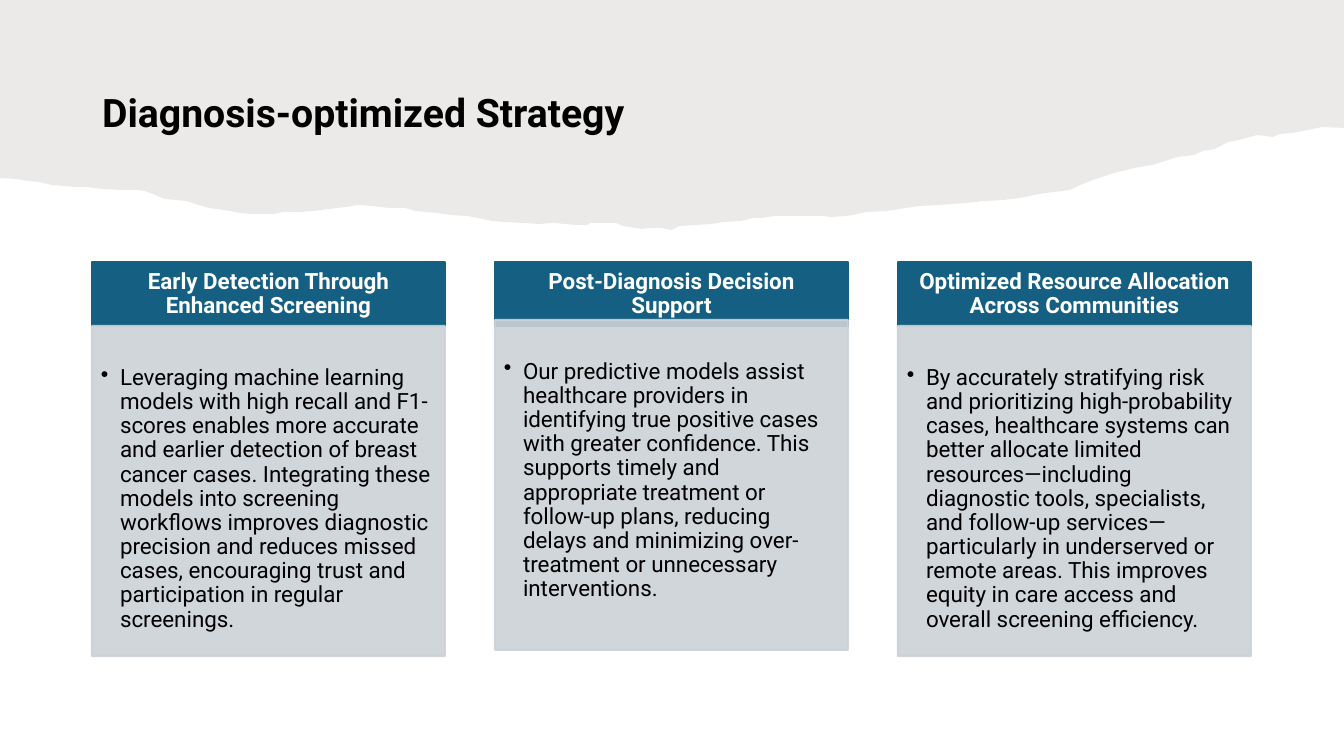
import pptx
import pptx.dml.color
import pptx.enum.shapes
import pptx.enum.text
import pptx.oxml.ns
import pptx.util
from lxml import etree

RGB = pptx.dml.color.RGBColor
BLACK = RGB(0x00, 0x00, 0x00)
WHITE = RGB(0xFF, 0xFF, 0xFF)
TAUPE = RGB(0x82, 0x76, 0x6A)
TEAL = RGB(0x15, 0x60, 0x82)
GREY = RGB(0xCC, 0xD2, 0xD8)
PP_ALIGN = pptx.enum.text.PP_ALIGN
ANCHOR = pptx.enum.text.MSO_ANCHOR
RECTANGLE = pptx.enum.shapes.MSO_SHAPE.RECTANGLE
qn = pptx.oxml.ns.qn
PX = 914400 / 100.8

TORN_EDGE = [
    (0, 178), (16, 179), (28, 181), (39, 182), (52, 185), (75, 187), (87, 187),
    (102, 189), (121, 190), (137, 190), (145, 191), (153, 194), (165, 199),
    (186, 201), (195, 204), (209, 208), (224, 210), (230, 211), (240, 213),
    (250, 214), (274, 214), (283, 212), (300, 212), (313, 211), (346, 207),
    (358, 205), (372, 206), (389, 208), (405, 208), (415, 211), (437, 213),
    (450, 215), (467, 216), (478, 218), (492, 221), (504, 222), (524, 223),
    (539, 224), (554, 223), (576, 225), (588, 225), (590, 223), (616, 223),
    (623, 226), (641, 229), (651, 228), (661, 228), (672, 230), (679, 226),
    (696, 225), (712, 224), (724, 222), (741, 221), (753, 218), (761, 218),
    (775, 216), (822, 216), (832, 217), (847, 216), (867, 212), (887, 211),
    (906, 208), (920, 206), (939, 205), (966, 203), (985, 201), (1003, 200),
    (1020, 198), (1039, 194), (1054, 192), (1070, 190), (1078, 186),
    (1093, 180), (1114, 173), (1139, 167), (1152, 165), (1159, 163),
    (1171, 159), (1178, 157), (1194, 155), (1203, 151), (1215, 149),
    (1228, 142), (1239, 140), (1257, 135), (1273, 137), (1280, 134),
    (1292, 133), (1308, 130), (1322, 127), (1344, 128),
]

# Heading, top of the body panel, body text
STRATEGIES = [
    ("Early Detection Through Enhanced Screening", 326,
     "Leveraging machine learning models with high recall and F1-scores enables "
     "more accurate and earlier detection of breast cancer cases. Integrating "
     "these models into screening workflows improves diagnostic precision and "
     "reduces missed cases, encouraging trust and participation in regular "
     "screenings."),
    ("Post-Diagnosis Decision Support", 320,
     "Our predictive models assist healthcare providers in identifying true "
     "positive cases with greater confidence. This supports timely and "
     "appropriate treatment or follow-up plans, reducing delays and minimizing "
     "over-treatment or unnecessary interventions."),
    ("Optimized Resource Allocation Across Communities", 326,
     "By accurately stratifying risk and prioritizing high-probability cases, "
     "healthcare systems can better allocate limited resources—including "
     "diagnostic tools, specialists, and follow-up services—particularly in "
     "underserved or remote areas. This improves equity in care access and "
     "overall screening efficiency."),
]


def px(n):
    return pptx.util.Emu(round(n * PX))


def set_opacity(shape, percent):
    """Make the fill and line colours of a shape partly transparent."""
    for color in shape._element.spPr.iter(qn("a:srgbClr")):
        etree.SubElement(color, qn("a:alpha"), val=str(percent * 1000))


prs = pptx.Presentation()
prs.slide_width, prs.slide_height = px(1344), px(756)
s = prs.slides.add_slide(prs.slide_layouts[5])

# Torn paper band, placed behind the title
builder = s.shapes.build_freeform(0, 0, scale=PX)
builder.add_line_segments(TORN_EDGE + [(1344, 0)], close=True)
band = builder.convert_to_shape()
band.shadow.inherit = False
band.fill.solid()
band.fill.fore_color.rgb = TAUPE
band.line.fill.background()
set_opacity(band, 15)
s.shapes._spTree.insert(2, band._element)

title = s.shapes.title
title.left, title.top, title.width, title.height = px(92), px(51), px(1161), px(90)
tf = title.text_frame
tf.text = "Diagnosis-optimized Strategy"
tf.vertical_anchor = ANCHOR.BOTTOM
tf.auto_size = pptx.enum.text.MSO_AUTO_SIZE.NONE
p = tf.paragraphs[0]
p.alignment = PP_ALIGN.LEFT
p.line_spacing = 0.9
for name, value in {"name": "Roboto", "size": pptx.util.Pt(28), "bold": True}.items():
    setattr(p.runs[0].font, name, value)
p.runs[0].font.color.rgb = BLACK

HEADER = {
    "fill": TEAL, "opacity": 100, "color": WHITE, "bold": True, "bullet": False,
    "align": PP_ALIGN.CENTER, "anchor": ANCHOR.MIDDLE, "insets": (12, 7, 12, 7),
}
BODY = {
    "fill": GREY, "opacity": 90, "color": BLACK, "bold": False, "bullet": True,
    "align": PP_ALIGN.LEFT, "anchor": ANCHOR.TOP, "insets": (9, 40, 12, 14),
}

for column, (heading, body_top, body) in enumerate(STRATEGIES):
    left = 92 + 403 * column
    for text, top, height, style in ((heading, 262, 64, HEADER), (body, body_top, 330, BODY)):
        sp = s.shapes.add_shape(RECTANGLE, px(left), px(top), px(353), px(height))
        sp.shadow.inherit = False
        sp.fill.solid()
        sp.fill.fore_color.rgb = style["fill"]
        sp.line.color.rgb = style["fill"]
        sp.line.width = pptx.util.Pt(1.5)
        if style["opacity"] < 100:
            set_opacity(sp, style["opacity"])

        tf = sp.text_frame
        tf.word_wrap = True
        tf.vertical_anchor = style["anchor"]
        for side, inset in zip(("left", "top", "right", "bottom"), style["insets"]):
            setattr(tf, "margin_" + side, px(inset))
        p = tf.paragraphs[0]
        p.alignment = style["align"]
        p.line_spacing = 0.9
        if style["bullet"]:
            pPr = p._p.get_or_add_pPr()
            pPr.set("marL", str(px(19)))
            pPr.set("indent", str(-px(19)))
            etree.SubElement(pPr, qn("a:buChar"), char="•")
        r = p.add_run()
        r.text = text
        for name, value in {"name": "Roboto", "size": pptx.util.Pt(16), "bold": style["bold"]}.items():
            setattr(r.font, name, value)
        r.font.color.rgb = style["color"]

prs.save("out.pptx")
